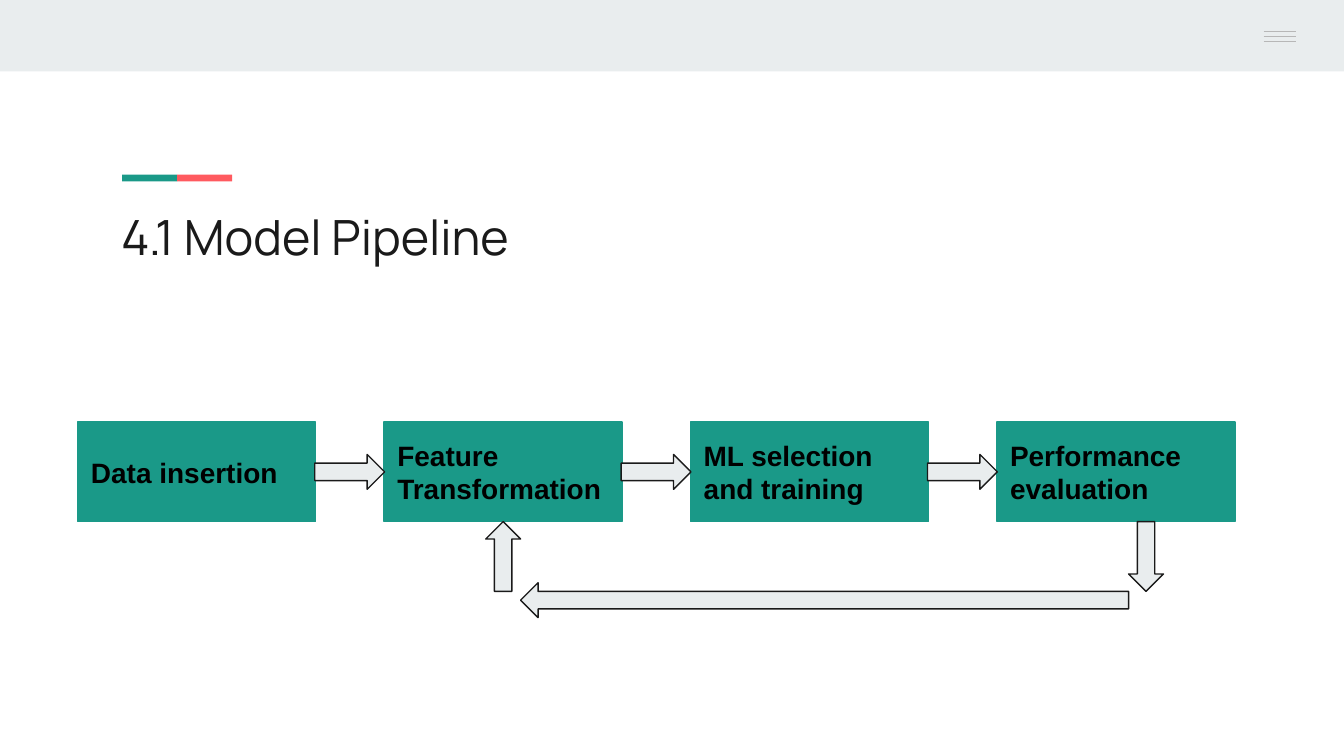
from lxml import etree
from pptx import Presentation
from pptx.dml.color import RGBColor
from pptx.enum.shapes import MSO_CONNECTOR, MSO_SHAPE
from pptx.enum.text import MSO_ANCHOR, PP_ALIGN
from pptx.oxml.ns import qn
from pptx.util import Cm, Pt

RECT = MSO_SHAPE.RECTANGLE
RIGHT, LEFT = MSO_SHAPE.RIGHT_ARROW, MSO_SHAPE.LEFT_ARROW
UP, DOWN = MSO_SHAPE.UP_ARROW, MSO_SHAPE.DOWN_ARROW
STRAIGHT = MSO_CONNECTOR.STRAIGHT
TOP, MIDDLE = MSO_ANCHOR.TOP, MSO_ANCHOR.MIDDLE
ALIGN_LEFT = PP_ALIGN.LEFT

GREEN, RED, PALE = "1A9988", "FF5A5F", "E9EDEE"
INK, BLACK, GREY = "1A1A1A", "000000", "B7B7B7"

STEPS = ["Data insertion", "Feature Transformation",
         "ML selection and training", "Performance evaluation"]
STEP_X, STEP_Y, STEP_W, STEP_H = 1.47, 7.98, 4.5, 1.88
PITCH = 5.79
ARROW_LONG, ARROW_WIDE = 1.32, 0.66


def color(value):
    return RGBColor.from_string(value)


def add_box(s, kind, x, y, w, h, fill, line=None):
    sp = s.shapes.add_shape(kind, Cm(x), Cm(y), Cm(w), Cm(h))
    sp.shadow.inherit = False
    sp.fill.solid()
    sp.fill.fore_color.rgb = color(fill)
    if line:
        sp.line.color.rgb = color(line)
        sp.line.width = Pt(0.75)
    else:
        sp.line.fill.background()
    return sp


def add_line(s, x1, x2, y):
    cxn = s.shapes.add_connector(STRAIGHT, Cm(x1), Cm(y), Cm(x2), Cm(y))
    cxn.line.color.rgb = color(GREY)
    cxn.line.width = Pt(0.75)
    etree.SubElement(cxn._element.spPr, qn("a:effectLst"))


def set_text(sp, text, size, font, ink, anchor, bold=False):
    tf = sp.text_frame
    tf.text = text
    tf.word_wrap = True
    tf.vertical_anchor = anchor
    tf.margin_left = tf.margin_right = Cm(0.25)
    tf.margin_top = tf.margin_bottom = Cm(0.25)
    p = tf.paragraphs[0]
    p.alignment = ALIGN_LEFT
    p.font.size = Pt(size)
    p.font.name = font
    p.font.bold = bold
    p.font.color.rgb = color(ink)


def add_header(s):
    add_box(s, RECT, 0, 0, 25.4, 1.35, PALE)
    for i in range(3):
        add_line(s, 23.88, 24.49, 0.6 + 0.09 * i)


def add_title(s, text):
    for i, fill in enumerate([GREEN, RED]):
        add_box(s, RECT, 2.31 + 1.04 * i, 3.3, 1.04, 0.13, fill)
    sp = s.shapes.add_textbox(Cm(2.04), Cm(3.66), Cm(21.36), Cm(1.5))
    set_text(sp, text, 26, "Manrope", INK, TOP)


def add_steps(s):
    for i, text in enumerate(STEPS):
        sp = add_box(s, RECT, STEP_X + PITCH * i, STEP_Y, STEP_W, STEP_H,
                     GREEN, GREEN)
        set_text(sp, text, 15, "Arial", BLACK, MIDDLE, bold=True)


def add_arrows(s):
    # Forward arrows between the steps
    y = STEP_Y + (STEP_H - ARROW_WIDE) / 2
    for i in range(len(STEPS) - 1):
        add_box(s, RIGHT, STEP_X + PITCH * i + STEP_W - 0.02, y,
                ARROW_LONG, ARROW_WIDE, PALE, INK)

    # Feedback loop from the last step to the second
    bottom = STEP_Y + STEP_H
    up_x = STEP_X + PITCH + (STEP_W - ARROW_WIDE) / 2
    down_x = 21.33
    back_x = up_x + ARROW_WIDE
    add_box(s, DOWN, down_x, bottom, ARROW_WIDE, ARROW_LONG, PALE, INK)
    add_box(s, LEFT, back_x, bottom + ARROW_LONG - ARROW_WIDE / 4,
            down_x - back_x, ARROW_WIDE, PALE, INK)
    add_box(s, UP, up_x, bottom, ARROW_WIDE, ARROW_LONG, PALE, INK)


def main():
    prs = Presentation()
    prs.slide_width, prs.slide_height = Cm(25.4), Cm(14.29)
    s = prs.slides.add_slide(prs.slide_layouts[6])
    add_header(s)
    add_title(s, "4.1 Model Pipeline")
    add_steps(s)
    add_arrows(s)
    prs.save("out.pptx")


if __name__ == "__main__":
    main()
